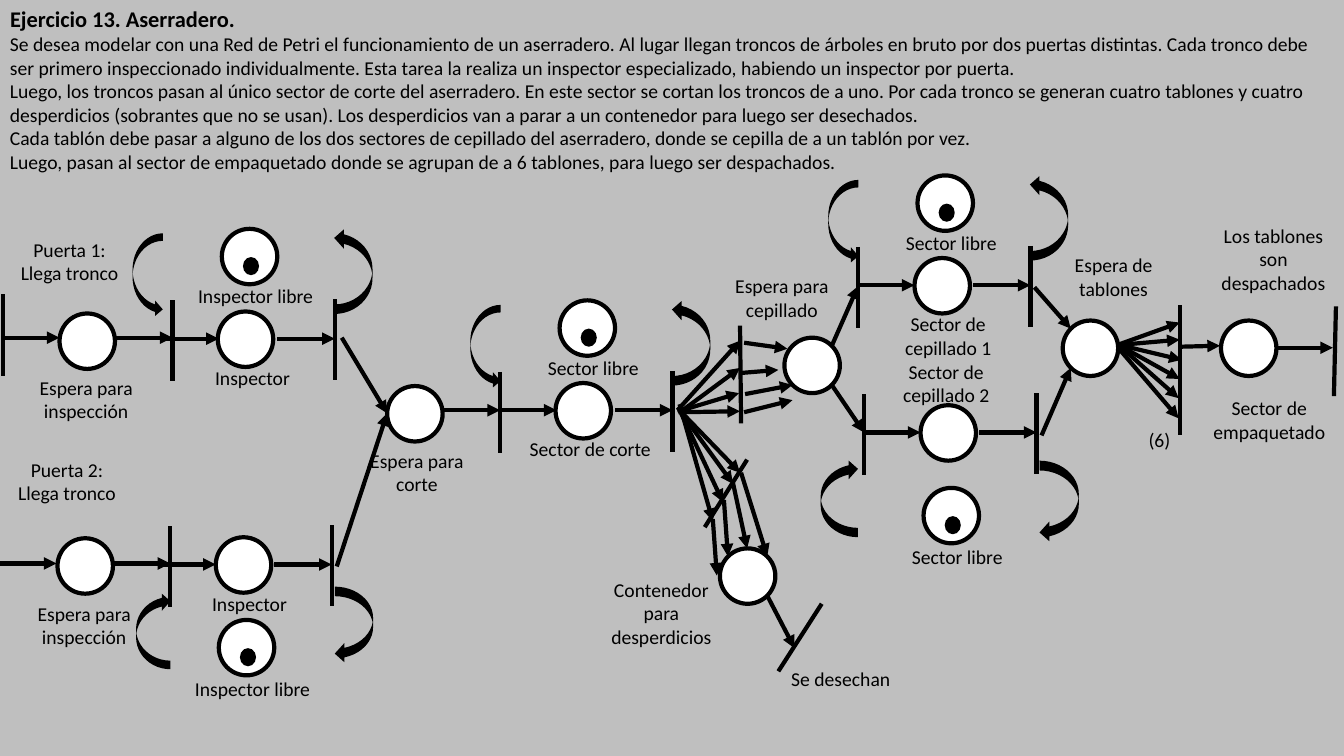
from pptx import Presentation
from pptx.dml.color import RGBColor
from pptx.enum.shapes import MSO_CONNECTOR, MSO_SHAPE
from pptx.enum.text import MSO_ANCHOR, MSO_AUTO_SIZE, PP_ALIGN
from pptx.oxml.ns import qn
from pptx.util import Inches, Pt
from lxml.etree import SubElement

COLUMNS, ROWS = 133.3, 75
CELL = Inches(0.1)
BLACK, WHITE, GRAY = "000000", "FFFFFF", "BFBFBF"
PLACE_SIZE = 5.5
STATION_WIDTH = 17.1

STATEMENT = [
    "Se desea modelar con una Red de Petri el funcionamiento de un aserradero. Al lugar llegan troncos de árboles en bruto por dos puertas distintas. Cada tronco debe ser primero inspeccionado individualmente. Esta tarea la realiza un inspector especializado, habiendo un inspector por puerta.",
    "Luego, los troncos pasan al único sector de corte del aserradero. En este sector se cortan los troncos de a uno. Por cada tronco se generan cuatro tablones y cuatro desperdicios (sobrantes que no se usan). Los desperdicios van a parar a un contenedor para luego ser desechados.",
    "Cada tablón debe pasar a alguno de los dos sectores de cepillado del aserradero, donde se cepilla de a un tablón por vez.",
    "Luego, pasan al sector de empaquetado donde se agrupan de a 6 tablones, para luego ser despachados.",
]

LOOPS_ABOVE = [(-5.6, -7.8, 8.3, 3, False, True), (14.7, -8.6, 8.5, 3.8, True, False)]
INSPECTOR_LOOPS_BELOW = [(-4.4, 4.9, 7.6, 3.4, True, True), (15.5, 4.1, 7.6, 3.8, False, False)]
PLANER_LOOPS_BELOW = [(-6.3, 4.7, 7.7, 3.7, True, True), (15.3, 4.9, 8.1, 3.9, False, False)]

ABOVE = {"free": -10.9, "free_label": -5.9}
BELOW = {"free": 5.5, "free_label": 10.7}

STATIONS = [
    (16.1, 33.6, 1, 5.5, "Inspector", "Inspector libre", 2.2, ABOVE, LOOPS_ABOVE),
    (15.8, 56, 1.1, 5.6, "Inspector", "Inspector libre", 2.2, BELOW, INSPECTOR_LOOPS_BELOW),
    (49.6, 40.7, 0, 5.5, "Sector de corte", "Sector libre", 2.2, ABOVE, LOOPS_ABOVE),
    (85.1, 28.3, 0, 5.6, "Sector de cepillado 1", "Sector libre", 2.2, ABOVE, LOOPS_ABOVE),
    (85.7, 42.9, 0, 5.6, "Sector de cepillado 2", "Sector libre", -7.7, BELOW, PLANER_LOOPS_BELOW),
]

PLACES = [
    (5.9, 31.1), (5.7, 53.4), (38.4, 38.3), (71.4, 54.4),
    (77.8, 33.5), (105.4, 31.8), (121.1, 31.8),
]

TRANSITIONS = [
    (0.3, 29.2, 0.3, 37.3), (73.4, 32.3, 73.5, 42), (74.1, 45.6, 69.9, 52.3),
    (81.5, 59.9, 77.2, 66.6), (117, 30.3, 117, 43.2), (132.5, 30.4, 132.3, 39.3),
]

ARCS = [
    (0.3, 33.5, 5.9, 33.5), (11.5, 33.5, 17.1, 33.5),
    (0, 55.9, 5.6, 55.9), (11.2, 55.9, 16.9, 55.9),
    (33.4, 56.2, 38.4, 41), (33.9, 33.5, 38.4, 41), (43.9, 40.7, 49.6, 40.7),
    (67.2, 40.7, 73.4, 33.8), (67.3, 41, 73.4, 36.5),
    (67.3, 40.8, 73.3, 39), (67.3, 40.9, 73.4, 40.8),
    (67.3, 40.6, 73.4, 46.9), (67.6, 41, 72.7, 48),
    (67.6, 41.1, 71.7, 49.8), (67.4, 40.1, 70.7, 51.7),
    (73.5, 46.9, 76.1, 55.2), (72.7, 47.9, 74.1, 54.4),
    (71.8, 49.6, 72.2, 55.2), (70.7, 51.5, 71.1, 57.1), (76.1, 59.1, 78.8, 64.3),
    (73.8, 34, 78.1, 34.6), (73.5, 37, 77.2, 36.7),
    (73.9, 39.1, 78.6, 38.2), (73.8, 40.9, 78.6, 39.7),
    (82.5, 34.3, 85.1, 28.4), (82.5, 38.2, 85.7, 42.9),
    (102.6, 28.5, 106.2, 32.6), (103.3, 43.2, 106.2, 36.5),
    (110.9, 34.2, 117, 32), (111.3, 34.2, 117, 33.7), (110.9, 34.2, 117.2, 35.7),
    (110.9, 34.2, 117, 37.6), (110.9, 34.2, 116.9, 39.5), (110.9, 34.5, 116.9, 41.5),
    (117, 34.4, 121, 34.3), (126.5, 34.5, 132.2, 34.5),
]

LABELS = [
    ("Puerta 1: Llega tronco", 0.5, 23.1, 12.8),
    ("Espera para inspección", 2, 36.8, 13.1),
    ("Puerta 2: Llega tronco", 0.1, 44.9, 13.1),
    ("Espera para inspección", 1.8, 59.2, 13.1),
    ("Espera para corte", 34.8, 44, 13.1),
    ("Contenedor para desperdicios", 58.3, 56.8, 14.6),
    ("Se desechan", 76.1, 65.7, 14.6),
    ("Espera para cepillado", 71, 26.7, 13.1),
    ("Espera de tablones", 103.9, 24.6, 13.1),
    ("(6)", 112.3, 42, 5.4),
    ("Sector de empaquetado", 118.6, 38.8, 14.6),
    ("Los tablones son despachados", 119.4, 21.7, 13.8),
]


def grid(*counts):
    return [round(count * CELL) for count in counts]


def color(hex_code):
    return RGBColor.from_string(hex_code)


def format_text(text_frame, size, alignment, bold=False):
    text_frame.word_wrap = True
    text_frame.vertical_anchor = MSO_ANCHOR.TOP
    for paragraph in text_frame.paragraphs:
        paragraph.alignment = alignment
        for run in paragraph.runs:
            run.font.name = "Calibri"
            run.font.size = Pt(size)
            run.font.bold = bold
            run.font.color.rgb = color(BLACK)


def add_title(slide, text):
    title = slide.shapes.title
    title.left, title.top, title.width, title.height = grid(0, 0, COLUMNS, 3.7)
    title.text_frame.text = text
    title.text_frame.auto_size = MSO_AUTO_SIZE.NONE
    format_text(title.text_frame, 16, PP_ALIGN.LEFT, True)


def add_text(slide, text, left, top, width, height=3.4, alignment=PP_ALIGN.CENTER):
    box = slide.shapes.add_textbox(*grid(left, top, width, height))
    box.text_frame.text = text
    box.text_frame.auto_size = MSO_AUTO_SIZE.SHAPE_TO_FIT_TEXT
    format_text(box.text_frame, 14, alignment)


def add_solid(slide, kind, left, top, width, height, fill, outlined=False):
    shape = slide.shapes.add_shape(kind, *grid(left, top, width, height))
    shape.shadow.inherit = False
    shape.fill.solid()
    shape.fill.fore_color.rgb = color(fill)
    if outlined:
        shape.line.color.rgb = color(BLACK)
        shape.line.width = Pt(3)
    else:
        shape.line.fill.background()
    return shape


def add_place(slide, left, top):
    add_solid(slide, MSO_SHAPE.OVAL, left, top, PLACE_SIZE, PLACE_SIZE, WHITE, True)


def add_loop(slide, left, top, width, height, flip_horizontal, flip_vertical):
    loop = add_solid(slide, MSO_SHAPE.CURVED_DOWN_ARROW, left, top, width, height, BLACK)
    loop.rotation = 90
    transform = loop.element.spPr.find(qn("a:xfrm"))
    for name, flipped in (("flipH", flip_horizontal), ("flipV", flip_vertical)):
        if flipped:
            transform.set(name, "1")


def add_line(slide, start_x, start_y, end_x, end_y, arrow=False):
    connector = slide.shapes.add_connector(
        MSO_CONNECTOR.STRAIGHT, *grid(start_x, start_y, end_x, end_y))
    connector.line.color.rgb = color(BLACK)
    connector.line.width = Pt(3)
    properties = connector.element.spPr
    if arrow:
        SubElement(properties.find(qn("a:ln")), qn("a:tailEnd"), type="triangle")
    SubElement(properties, qn("a:effectLst"))


def add_station(slide, x, y, entry, place, name, free_name, name_offset, side, loops):
    for bar_x, bar_y in ((x + entry, y + 0.2), (x + STATION_WIDTH, y + 0.1)):
        add_line(slide, bar_x, bar_y - 4, bar_x, bar_y + 4)
    add_place(slide, x + place, y - 2.7)
    free_left, free_top = x + 5.9, y + side["free"]
    add_place(slide, free_left, free_top)
    add_solid(slide, MSO_SHAPE.OVAL, free_left + 2.1, free_top + 2.8, 1.6, 1.8, BLACK)
    add_line(slide, x, y, x + 5.6, y, True)
    add_line(slide, x + 11.4, y, x + STATION_WIDTH, y, True)
    for left, top, *rest in loops:
        add_loop(slide, x + left, y + top, *rest)
    add_text(slide, free_name, x + 1.3, y + side["free_label"], 15.9)
    name_left = x + 1 if name_offset > 0 else x + 0.2
    add_text(slide, name, name_left, y + name_offset, 15.9)


def main():
    presentation = Presentation()
    presentation.slide_width, presentation.slide_height = grid(COLUMNS, ROWS)
    slide = presentation.slides.add_slide(presentation.slide_layouts[5])
    slide.background.fill.solid()
    slide.background.fill.fore_color.rgb = color(GRAY)
    add_title(slide, "Ejercicio 13. Aserradero.")
    add_text(slide, "\n".join(STATEMENT), 0, 2.7, COLUMNS, 15.1, PP_ALIGN.LEFT)
    for place in PLACES:
        add_place(slide, *place)
    for transition in TRANSITIONS:
        add_line(slide, *transition)
    for station in STATIONS:
        add_station(slide, *station)
    for arc in ARCS:
        add_line(slide, *arc, arrow=True)
    for label in LABELS:
        add_text(slide, *label)
    presentation.save("out.pptx")


if __name__ == "__main__":
    main()
